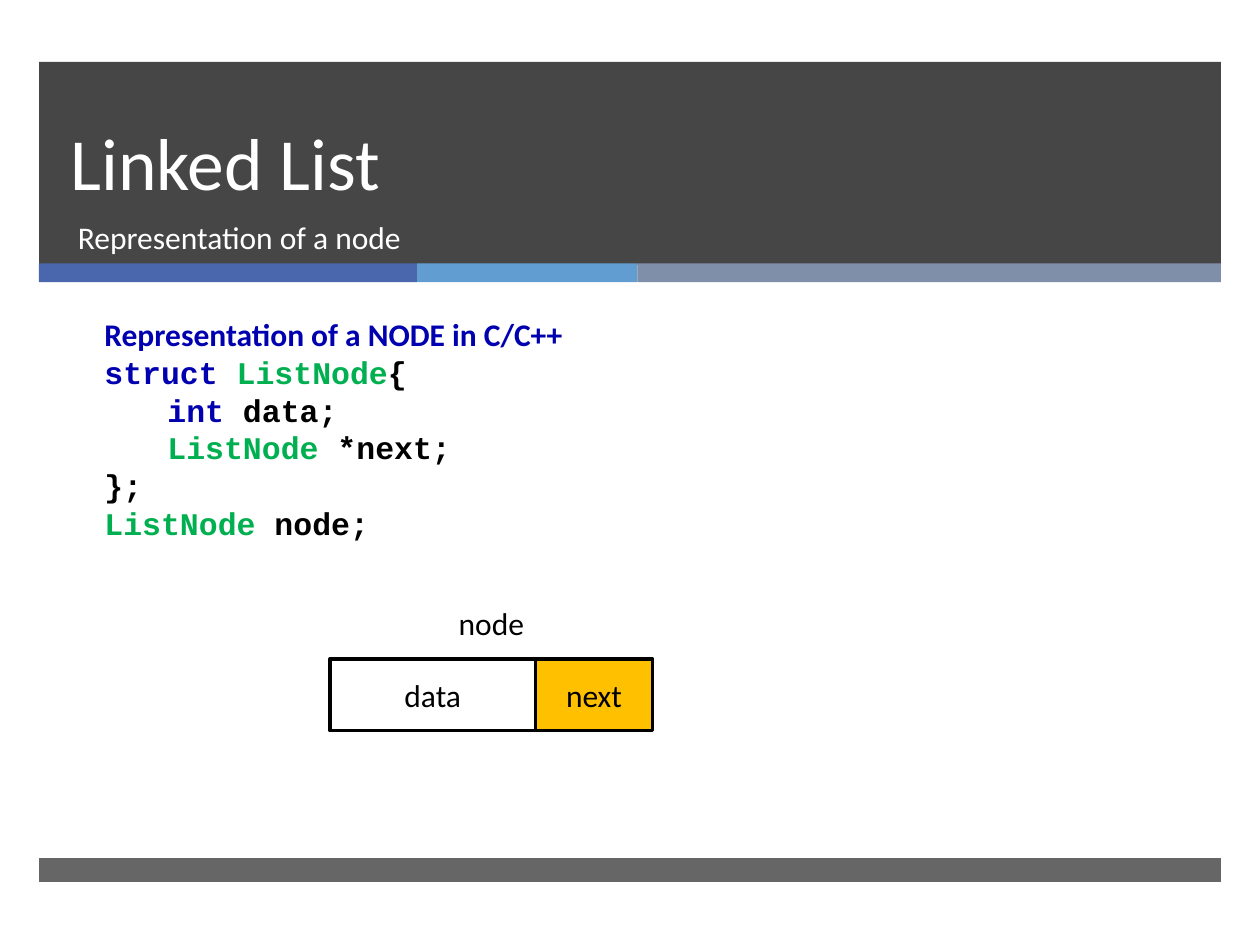
import pptx
import pptx.util
import pptx.dml.color
import pptx.enum.shapes
import pptx.enum.text
import pptx.oxml.ns
import lxml.etree

ALIGN = pptx.enum.text.PP_ALIGN
ANCHOR = pptx.enum.text.MSO_ANCHOR
RECT = pptx.enum.shapes.MSO_SHAPE.RECTANGLE

THEME = {
    "dark": "262626", "white": "FFFFFF", "black": "000000",
    "blue": "4A66AC", "sky": "629DD1", "slate": "7F8FA9",
    "key": "0000B0", "type": "00B050", "gold": "FFC000",
    "sans": "Calibri", "mono": "Courier New",
    "big": 42, "lead": 46, "size": 18, "line": 2,
}

TITLE = "Linked List"
TOPIC = "Representation of a node"
CODE = [
    ("sans", [("Representation of a NODE in C/C++", "key")]),
    ("mono", [("struct ", "key"), ("ListNode", "type"), ("{", "black")]),
    ("mono", [("\t", "black"), ("int", "key"), (" data;", "black")]),
    ("mono", [("\t", "black"), ("ListNode", "type"), (" *next;", "black")]),
    ("mono", [("};", "black")]),
    ("mono", [("ListNode", "type"), (" node;", "black")]),
]
BANDS = [("blue", 3), ("sky", 1.75), ("slate", 4.63)]
FIELDS = [("data", 1.63, None), ("next", 0.93, "gold")]
LABEL = "node"

WIDE, HIGH = 10, 7.5
EDGE = 0.31
SPAN = WIDE - 2 * EDGE
HEAD = (EDGE, 0.49, SPAN, 1.61)
FOOT = (EDGE, 6.81, SPAN, 0.19)
STRIP, THIN = 2.09, 0.15
NODE, ROW, TALL = 2.62, 5.23, 0.57


def tone(name):
    return pptx.dml.color.RGBColor.from_string(THEME[name])


def place(box):
    return [pptx.util.Inches(part) for part in box]


def style(item, form):
    for name, value in form.items():
        setattr(item, name, value)


def write(shape, rows, size="size", bold=None, anchor=ANCHOR.TOP, **form):
    frame = shape.text_frame
    style(frame, {"word_wrap": True, "vertical_anchor": anchor})
    for index, (face, runs) in enumerate(rows):
        para = frame.add_paragraph() if index else frame.paragraphs[0]
        style(para, form)
        for text, color in runs:
            run = para.add_run()
            run.text = text
            style(run.font, {"name": THEME[face], "bold": bold,
                             "size": pptx.util.Pt(THEME[size])})
            run.font.color.rgb = tone(color)


def block(slide, box, fill=None, alpha=None, line=None):
    shape = slide.shapes.add_shape(RECT, *place(box))
    shape.shadow.inherit = False
    if fill:
        shape.fill.solid()
        shape.fill.fore_color.rgb = tone(fill)
    else:
        shape.fill.background()
    if alpha:
        tag = pptx.oxml.ns.qn("a:srgbClr")
        color = next(shape.fill._xPr.iter(tag))
        lxml.etree.SubElement(color, pptx.oxml.ns.qn("a:alpha"),
                              val=str(alpha * 1000))
    if line:
        shape.line.color.rgb = tone(line)
        shape.line.width = pptx.util.Pt(THEME["line"])
    else:
        shape.line.fill.background()
    return shape


def words(slide, box, rows, **form):
    write(slide.shapes.add_textbox(*place(box)), rows, **form)


def main():
    deck = pptx.Presentation()
    style(deck, {"slide_width": pptx.util.Inches(WIDE),
                 "slide_height": pptx.util.Inches(HIGH)})
    slide = deck.slides.add_slide(deck.slide_layouts[6])

    block(slide, HEAD, "dark", 85)
    left = EDGE
    for fill, width in BANDS:
        block(slide, (left, STRIP, width, THIN), fill)
        left += width
    block(slide, FOOT, "dark", 70)

    words(slide, (0.46, 0.49, 8.54, 1.19), [("sans", [(TITLE, "white")])],
          size="big", anchor=ANCHOR.BOTTOM,
          line_spacing=pptx.util.Pt(THEME["lead"]))
    words(slide, (0.52, 1.68, 8.48, 0.53), [("sans", [(TOPIC, "white")])])
    words(slide, (0.73, 2.45, 8.49, 1.92), CODE, bold=True)

    mid = {"anchor": ANCHOR.MIDDLE, "alignment": ALIGN.CENTER}
    left = NODE
    for text, width, fill in FIELDS:
        cell = block(slide, (left, ROW, width, TALL), fill, line="black")
        write(cell, [("sans", [(text, "black")])], **mid)
        left += width
    words(slide, (NODE, ROW - TALL, left - NODE, TALL),
          [("sans", [(LABEL, "black")])], **mid)

    deck.save("out.pptx")


if __name__ == "__main__":
    main()
